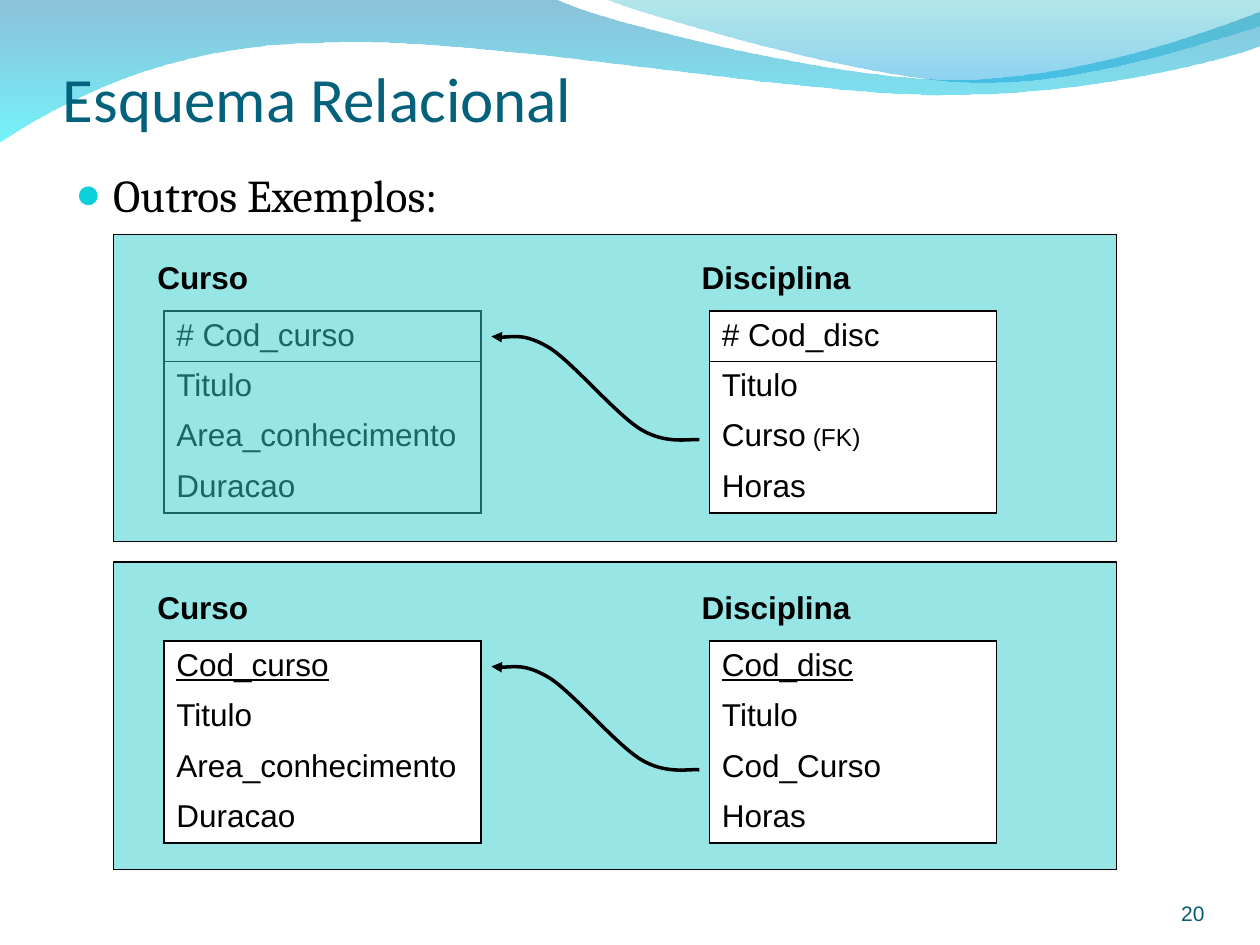
"""Build the relational schema slide with two course and discipline examples."""
import pptx
import pptx.dml.color
import pptx.enum.shapes
import pptx.enum.text
import pptx.oxml.ns
import pptx.util
from lxml import etree

ALIGN = pptx.enum.text.PP_ALIGN
ANCHOR = pptx.enum.text.MSO_ANCHOR

THEME = {
    "ink": "000000", "paper": "FFFFFF", "title": "04617B", "number": "045C75",
    "bullet": "0BD0D9", "panel": "33CCCC", "panel_opacity": 50,
    "sans": "Arial", "heading": "Calibri", "serif": "Cambria",
    "title_size": 36, "body_size": 26, "entity_size": 18, "note_size": 14, "number_size": 12,
    "frame": 1.08, "rule": 0.23, "panel_line": 0.75, "arrow": 2,
}

WAVES = [
    {"stops": [("0079AF", 45), ("00EBF8", 55)], "start": (0, -0.13), "segments": [
        [(44, -0.13)],
        [(47.6, 2.27), (66.4, 8.4), (75.8, 8.4)],
        [(85.3, 8.4), (95.8, 3.47), (100, 1.2)],
        [(100.1, 4.8)],
        [(98.3, 5.87), (87, 10.13), (74.6, 10)],
        [(62.2, 10), (38.2, 3.73), (25.7, 4.53)],
        [(12.9, 4.67), (4.6, 11.07), (-0.1, 15.07)]]},
    {"stops": [("00ADB6", 30), ("009BE5", 45)], "start": (47.9, -0.13), "segments": [
        [(50.9, 1.47), (68.2, 8.27), (76.9, 8.67)],
        [(85.6, 9.2), (96.1, 4.27), (100, 2.8)],
        [(100, 0)]]},
]

ARROW_START = (55.5, 46.53)
ARROW_CURVES = [
    [(54.8, 46.4), (52.9, 47.07), (50.9, 45.47)],
    [(48.9, 43.87), (45.5, 38.4), (43.6, 36.8)],
    [(41.6, 35.2), (39.9, 35.87), (39, 35.6)],
]

ENTITY_COLUMNS = {"Curso": (11.5, 9.2, 13, 25.2), "Disciplina": (54.7, 13.8, 56.3, 22.8)}
HEADING_TOP, HEADING_HEIGHT = 23.47, 8.53
TABLE_TOP, ROW_HEIGHT = 32.93, 5.33
PANEL_TOPS, EXAMPLE_PITCH = (24.8, 59.47), 34.93

EXAMPLES = [
    {"key": "hash", "behind": ["Curso"], "entities": {
        "Curso": ["# Cod_curso", "Titulo", "Area_conhecimento", "Duracao"],
        "Disciplina": ["# Cod_disc", "Titulo", ("Curso", " (FK)"), "Horas"]}},
    {"key": "underline", "behind": [], "entities": {
        "Curso": ["Cod_curso", "Titulo", "Area_conhecimento", "Duracao"],
        "Disciplina": ["Cod_disc", "Titulo", "Cod_Curso", "Horas"]}},
]

deck = pptx.Presentation()
deck.slide_width, deck.slide_height = pptx.util.Inches(10), pptx.util.Inches(7.5)
slide = deck.slides.add_slide(deck.slide_layouts[6])


def place(x, y):
    return round(deck.slide_width * x / 100), round(deck.slide_height * y / 100)


def area(left, top, width, height):
    return place(left, top) + place(width, height)


def rgb(value):
    return pptx.dml.color.RGBColor.from_string(value)


def child(parent, tag, **attributes):
    return etree.SubElement(parent, pptx.oxml.ns.qn(tag), attributes)


def apply(target, formats):
    for name, value in formats.items():
        setattr(target, name, value)


def paint(fill, color):
    fill.solid()
    fill.fore_color.rgb = rgb(color)


def set_opacity(shape, percents):
    colors = shape._element.spPr.findall(".//" + pptx.oxml.ns.qn("a:srgbClr"))
    for color, percent in zip(colors, percents):
        child(color, "a:alpha", val=str(percent * 1000))


def add_run(paragraph, words, color, **formats):
    run = paragraph.add_run()
    run.text = words
    formats["size"] = pptx.util.Pt(formats["size"])
    apply(run.font, formats)
    run.font.color.rgb = rgb(color)


def add_text(words, bounds, color, font, frame=None, paragraph=None):
    text = slide.shapes.add_textbox(*area(*bounds)).text_frame
    apply(text, {"word_wrap": True, **(frame or {})})
    line = text.paragraphs[0]
    apply(line, paragraph or {})
    add_run(line, words, color, **font)
    return line


def add_outline(start, segments, close):
    builder = slide.shapes.build_freeform(*place(*start), scale=1.0)
    builder.add_line_segments([place(*point) for segment in segments for point in segment], close=close)
    outline = builder.convert_to_shape()
    outline.shadow.inherit = False
    steps = iter(outline._element.spPr.findall(".//" + pptx.oxml.ns.qn("a:lnTo")))
    for segment in segments:
        first, *others = [next(steps) for _ in segment]
        if others:
            first.tag = pptx.oxml.ns.qn("a:cubicBezTo")
        for other in others:
            first.append(other[0])
            other.getparent().remove(other)
    return outline


def add_wave(wave):
    outline = add_outline(wave["start"], wave["segments"], True)
    outline.line.fill.background()
    outline.fill.gradient()
    outline.fill.gradient_angle = 270
    for position, (stop, (color, _)) in enumerate(zip(outline.fill.gradient_stops, wave["stops"])):
        stop.color.rgb = rgb(color)
        stop.position = position
    set_opacity(outline, [opacity for _, opacity in wave["stops"]])


def stroke(line, width):
    paint(line.fill, THEME["ink"])
    line.width = pptx.util.Pt(width)


def add_arrow(offset):
    shifted = [[(x, y + offset) for x, y in curve] for curve in ARROW_CURVES]
    arrow = add_outline((ARROW_START[0], ARROW_START[1] + offset), shifted, False)
    arrow.fill.background()
    stroke(arrow.line, THEME["arrow"])
    child(arrow.line._get_or_add_ln(), "a:tailEnd", type="triangle")


def add_panel(top):
    panel = slide.shapes.add_shape(pptx.enum.shapes.MSO_SHAPE.RECTANGLE, *area(9, top, 79.6, 32.53))
    panel.shadow.inherit = False
    paint(panel.fill, THEME["panel"])
    set_opacity(panel, [THEME["panel_opacity"]])
    stroke(panel.line, THEME["panel_line"])


def set_borders(cell, widths):
    properties = cell._tc.get_or_add_tcPr()
    for index, (side, width) in enumerate(zip("LRTB", widths)):
        border = child(properties, "a:ln" + side, w=str(pptx.util.Pt(width)))
        if width:
            child(child(border, "a:solidFill"), "a:srgbClr", val=THEME["ink"])
        else:
            child(border, "a:noFill")
        properties.insert(index, border)


def add_entity(name, fields, key, offset):
    _, _, left, width = ENTITY_COLUMNS[name]
    bounds = area(left, TABLE_TOP + offset, width, ROW_HEIGHT * len(fields))
    entity = slide.shapes.add_table(len(fields), 1, *bounds).table
    apply(entity, {"first_row": False, "horz_banding": False})
    frame = THEME["frame"]
    rule = THEME["rule"] if key == "hash" else 0
    edges = [frame, rule] + [0] * (len(fields) - 2) + [frame]
    for row, field in enumerate(fields):
        cell = entity.cell(row, 0)
        paint(cell.fill, THEME["paper"])
        set_borders(cell, (frame, frame, edges[row], edges[row + 1]))
        parts = (field,) if isinstance(field, str) else field
        for words, size in zip(parts, (THEME["entity_size"], THEME["note_size"])):
            add_run(cell.text_frame.paragraphs[0], words, THEME["ink"], size=size,
                    name=THEME["sans"], underline=key == "underline" and row == 0)


def add_entities(example, offset, behind):
    for name, fields in example["entities"].items():
        if (name in example["behind"]) == behind:
            add_entity(name, fields, example["key"], offset)


for wave in WAVES:
    add_wave(wave)

add_text("Esquema Relacional", (5, 4, 90, 10.27), THEME["title"],
         {"size": THEME["title_size"], "name": THEME["heading"]},
         {"vertical_anchor": ANCHOR.BOTTOM, "margin_left": 0, "margin_right": 0, "margin_bottom": 0})
topic = add_text("Outros Exemplos:", (5, 16.4, 89.9, 76.67), THEME["ink"],
                 {"size": THEME["body_size"], "name": THEME["serif"]}, paragraph={"line_spacing": 1.1})
indent = topic._p.get_or_add_pPr()
indent.set("marL", str(pptx.util.Inches(0.3)))
indent.set("indent", str(-pptx.util.Inches(0.3)))
child(child(indent, "a:buClr"), "a:srgbClr", val=THEME["bullet"])
child(indent, "a:buSzPct", val="95000")
child(indent, "a:buFont", typeface=THEME["sans"])
child(indent, "a:buChar", char="●")
add_text("20", (72.3, 93.07, 23.3, 4.93), THEME["number"],
         {"size": THEME["number_size"], "name": THEME["sans"]},
         {"vertical_anchor": ANCHOR.BOTTOM, "margin_left": 0, "margin_right": 0,
          "margin_top": 0, "margin_bottom": 0}, {"alignment": ALIGN.RIGHT})

for order, example in enumerate(EXAMPLES):
    offset = order * EXAMPLE_PITCH
    add_entities(example, offset, True)
    add_panel(PANEL_TOPS[order])
    for name in example["entities"]:
        left, width, _, _ = ENTITY_COLUMNS[name]
        add_text(name, (left, HEADING_TOP + offset, width, HEADING_HEIGHT), THEME["ink"],
                 {"size": THEME["entity_size"], "name": THEME["sans"], "bold": True},
                 {"word_wrap": False}, {"line_spacing": 1.8})
    add_entities(example, offset, False)
    add_arrow(offset)

deck.save("out.pptx")
